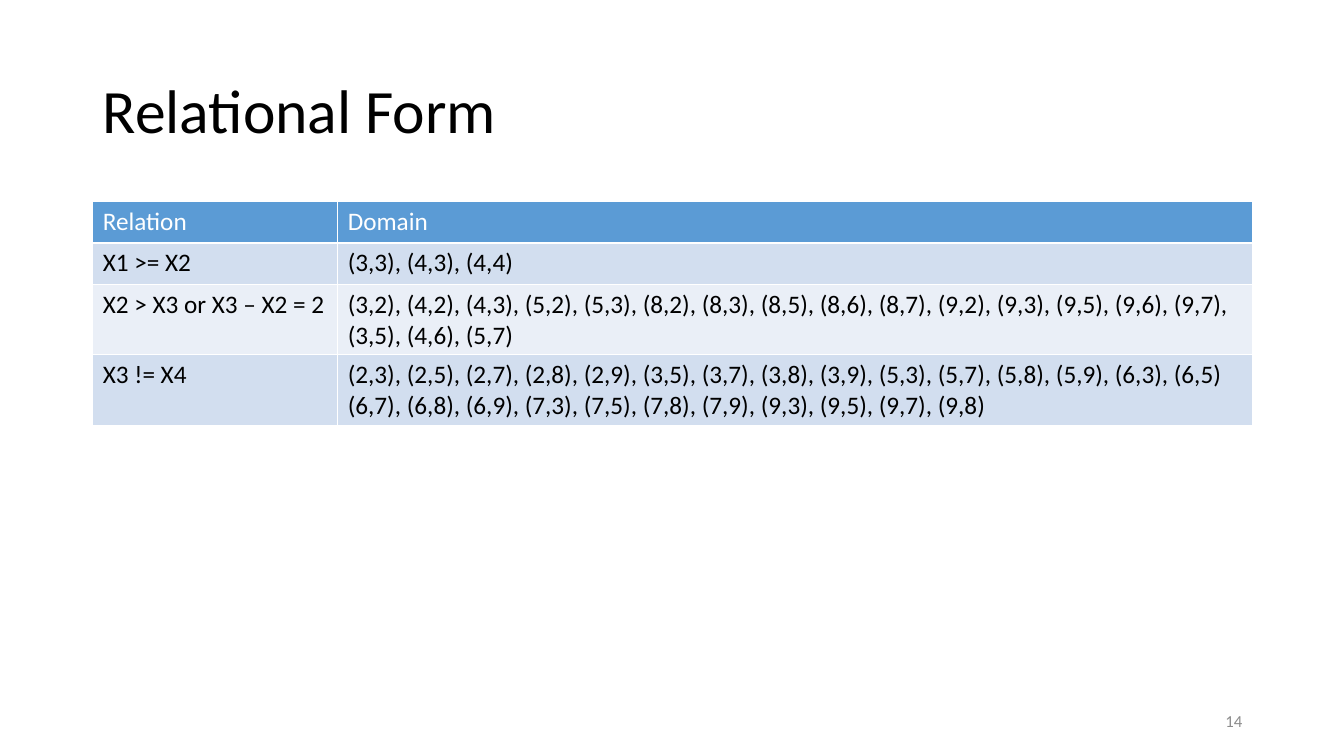
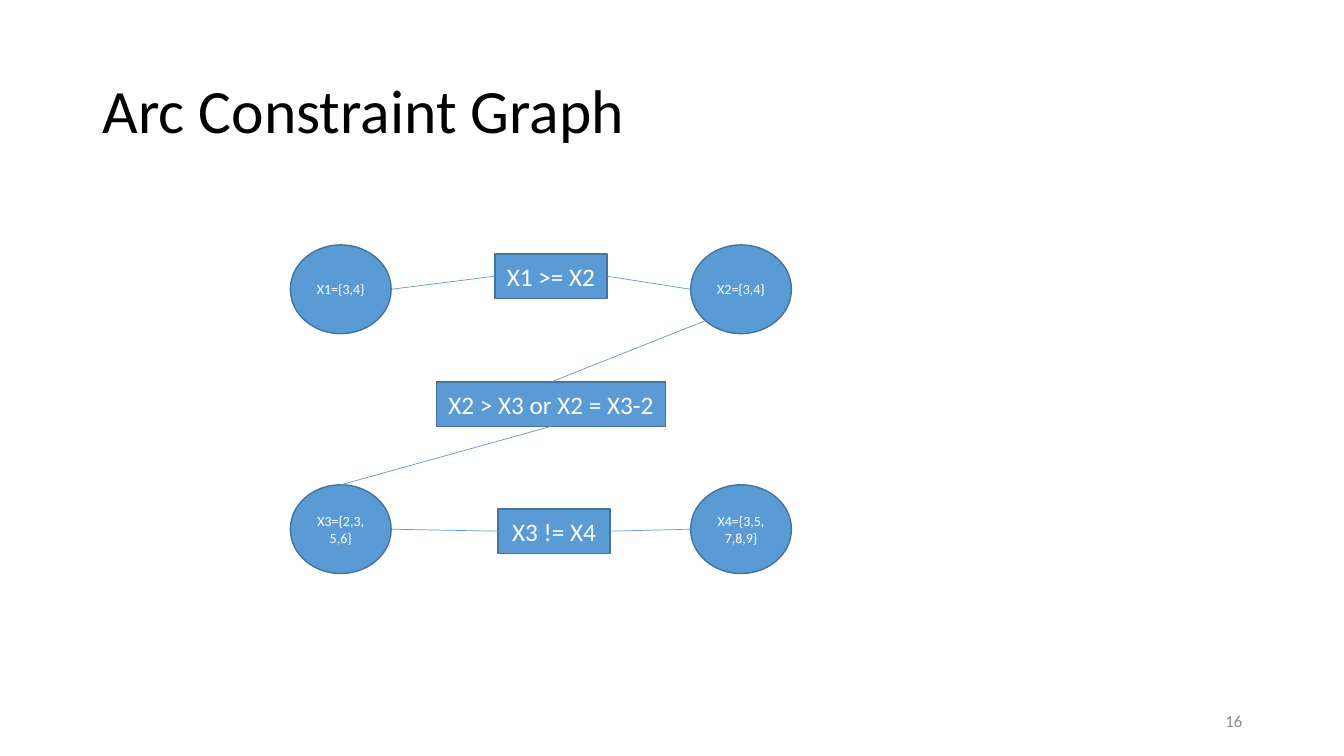
"""Build two slides on constraint relations and their arc constraint graph."""
import math

from lxml import etree
from pptx import Presentation
from pptx import util as u
from pptx.dml.color import RGBColor
from pptx.enum import shapes, text
from pptx.oxml import ns

WHITE = RGBColor(0xFF, 0xFF, 0xFF)
BLACK = RGBColor(0x00, 0x00, 0x00)
GRAY = RGBColor(0x8C, 0x8C, 0x8C)
BLUE = RGBColor(0x5B, 0x9B, 0xD5)
DARK_BLUE = RGBColor(0x43, 0x73, 0x9E)
ROW_BANDS = (RGBColor(0xEA, 0xEF, 0xF7), RGBColor(0xD2, 0xDE, 0xEF))
FONT = "Calibri"
LEFT, CONTENT_WIDTH = 0.92, 11.5
TOP, LEFT_SIDE, BOTTOM, RIGHT_SIDE = range(4)

RELATIONS = (
    ("Relation", "Domain"),
    ("X1 >= X2", "(3,3), (4,3), (4,4)"),
    ("X2 > X3 or X3 – X2 = 2",
     "(3,2), (4,2), (4,3), (5,2), (5,3), (8,2), (8,3), (8,5), (8,6), (8,7), "
     "(9,2), (9,3), (9,5), (9,6), (9,7), (3,5), (4,6), (5,7)"),
    ("X3 != X4",
     "(2,3), (2,5), (2,7), (2,8), (2,9), (3,5), (3,7), (3,8), (3,9), (5,3), "
     "(5,7), (5,8), (5,9), (6,3), (6,5) (6,7), (6,8), (6,9), (7,3), (7,5), "
     "(7,8), (7,9), (9,3), (9,5), (9,7), (9,8)"),
)


def write(frame, words, size=18, color=BLACK, align=text.PP_ALIGN.LEFT,
          anchor=text.MSO_ANCHOR.MIDDLE, spacing=None):
    frame.word_wrap = True
    frame.vertical_anchor = anchor
    paragraph = frame.paragraphs[0]
    paragraph.alignment = align
    paragraph.line_spacing = spacing
    run = paragraph.add_run()
    run.text = words
    run.font.name = FONT
    run.font.size = u.Pt(size)
    run.font.bold = False
    run.font.color.rgb = color


class Deck:
    def __init__(self):
        self.presentation = Presentation()
        self.presentation.slide_width = u.Inches(13.33)
        self.presentation.slide_height = u.Inches(7.5)
        self.slide = None

    def add_slide(self, title, number):
        self.slide = self.presentation.slides.add_slide(self.presentation.slide_layouts[6])
        self.add_text(title, LEFT, 0.4, CONTENT_WIDTH, 1.45, size=44, spacing=0.9)
        self.add_text(str(number), 9.42, 6.95, 3, 0.4, size=12, color=GRAY,
                      align=text.PP_ALIGN.RIGHT)

    def add_text(self, words, left, top, width, height, **style):
        box = self.slide.shapes.add_textbox(*map(u.Inches, (left, top, width, height)))
        write(box.text_frame, words, **style)

    def add_table(self, rows, left, top, widths, heights):
        frame = self.slide.shapes.add_table(
            len(rows), len(widths),
            *map(u.Inches, (left, top, sum(widths), sum(heights))))
        table = frame.table
        for column, width in zip(table.columns, widths):
            column.width = u.Inches(width)
        for index, (row, height) in enumerate(zip(rows, heights)):
            table.rows[index].height = u.Inches(height)
            header = index == 0
            for cell, words in zip(table.rows[index].cells, row):
                cell.fill.solid()
                cell.fill.fore_color.rgb = BLUE if header else ROW_BANDS[index % 2]
                write(cell.text_frame, words, color=WHITE if header else BLACK,
                      anchor=text.MSO_ANCHOR.TOP)

    def add_node(self, kind, words, left, top, width, height, size):
        node = self.slide.shapes.add_shape(
            kind, *map(u.Inches, (left, top, width, height)))
        node.shadow.inherit = False
        node.fill.solid()
        node.fill.fore_color.rgb = BLUE
        node.line.color.rgb = DARK_BLUE
        node.line.width = u.Pt(1)
        write(node.text_frame, words, size=size, color=WHITE, align=text.PP_ALIGN.CENTER)
        return node

    def add_constraint(self, words, left, top, width):
        return self.add_node(shapes.MSO_SHAPE.RECTANGLE, words, left, top, width, 0.44, 18)

    def add_variable(self, words, left, top):
        return self.add_node(shapes.MSO_SHAPE.OVAL, words, left, top, 1, 0.88, 10)

    def add_arc(self, constraint, side, variable, degrees):
        angle = math.radians(degrees)
        x = variable.left + round(variable.width * (1 + math.cos(angle)) / 2)
        y = variable.top + round(variable.height * (1 + math.sin(angle)) / 2)
        arc = self.slide.shapes.add_connector(shapes.MSO_CONNECTOR.STRAIGHT, x, y, x, y)
        arc.begin_connect(constraint, side)
        arc.line.color.rgb = BLUE
        arc.line.width = u.Pt(0.5)
        etree.SubElement(arc.element.spPr, ns.qn("a:effectLst"))


def main():
    deck = Deck()

    deck.add_slide("Relational Form", 14)
    deck.add_table(RELATIONS, LEFT, 2, (2.43, 9.07), (0.41, 0.41, 0.7, 0.7))

    deck.add_slide("Arc Constraint Graph", 16)
    first = deck.add_constraint("X1 >= X2", 4.91, 2.52, 1.11)
    second = deck.add_constraint("X2 > X3 or X2 = X3-2", 4.33, 3.79, 2.27)
    third = deck.add_constraint("X3 != X4", 4.94, 5.05, 1.11)
    domains = ("X1={3,4}", "X2={3,4}", "X3={2,3,5,6}", "X4={3,5,7,8,9}")
    x1, x2, x3, x4 = [
        deck.add_variable(words, 2.88 + 3.97 * (index % 2), 2.43 + 2.38 * (index // 2))
        for index, words in enumerate(domains)]
    for arc in (
        (first, LEFT_SIDE, x1, 0),
        (second, TOP, x2, 135),
        (first, RIGHT_SIDE, x2, 180),
        (second, BOTTOM, x3, 270),
        (third, LEFT_SIDE, x3, 0),
        (third, RIGHT_SIDE, x4, 180),
    ):
        deck.add_arc(*arc)

    deck.presentation.save("out.pptx")


if __name__ == "__main__":
    main()
